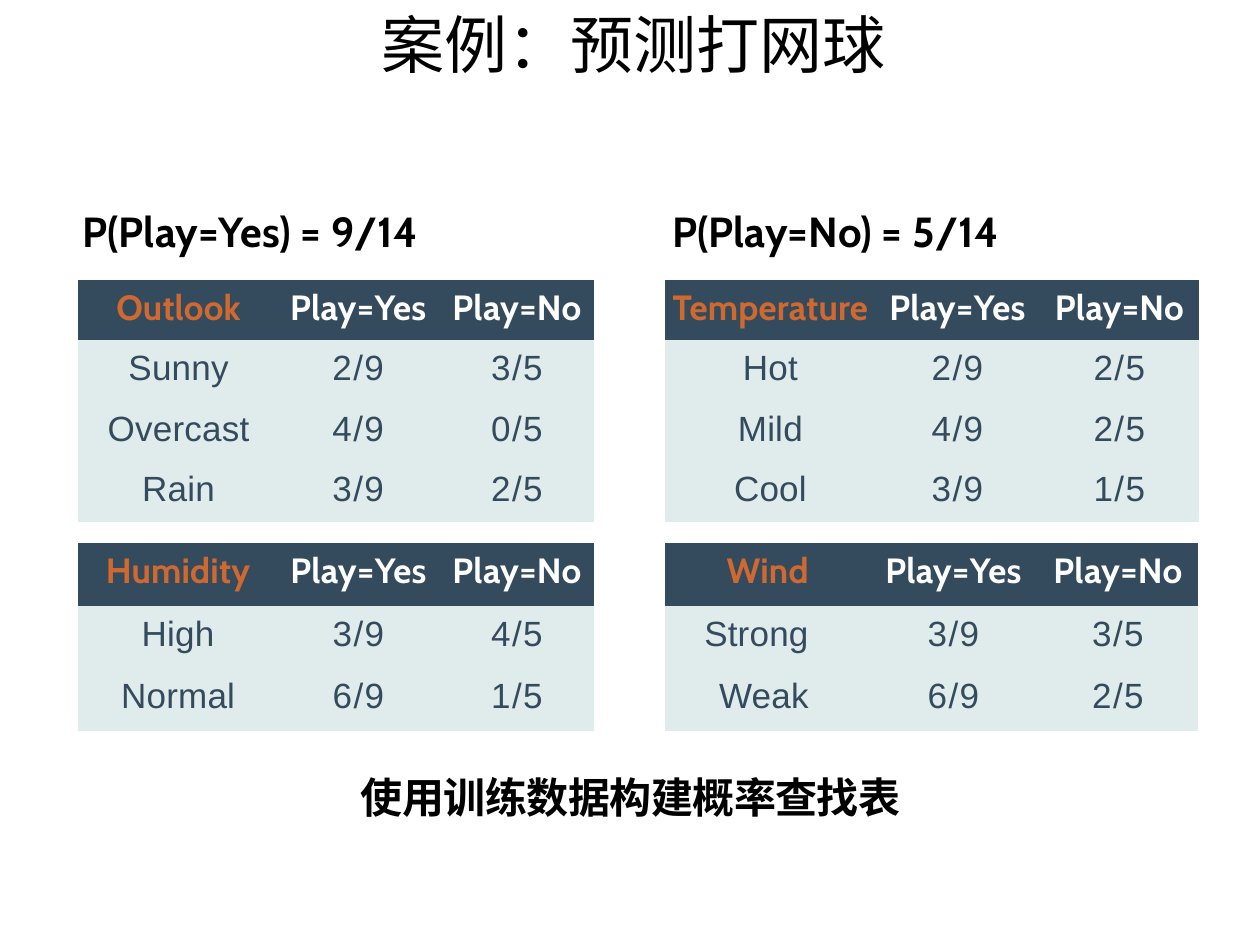
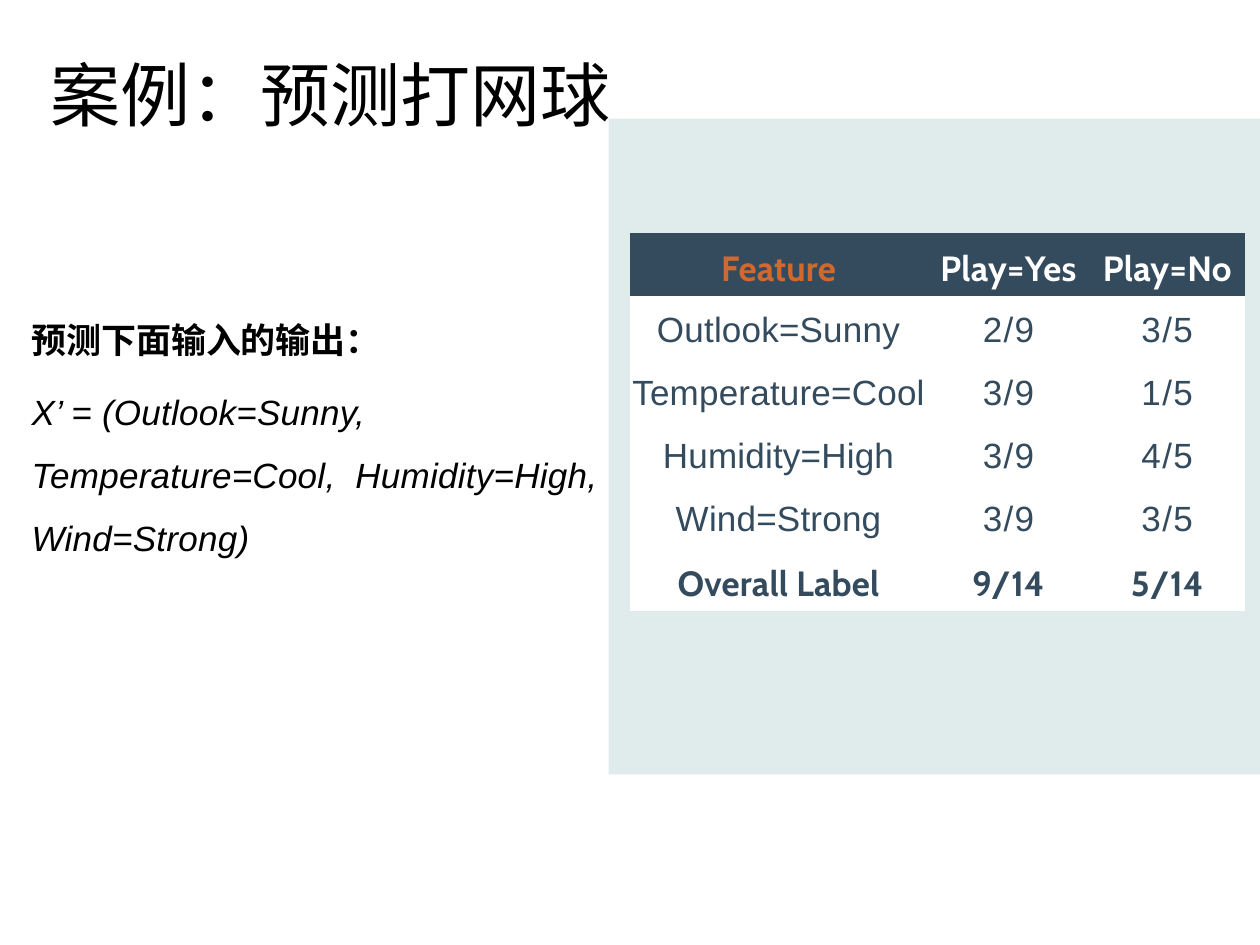
import dataclasses

import pptx
import pptx.dml.color
import pptx.enum.lang
import pptx.enum.shapes
import pptx.enum.text
import pptx.oxml.ns
import pptx.util
from lxml import etree

Cm = pptx.util.Cm
Pt = pptx.util.Pt
ALIGN = pptx.enum.text.PP_ALIGN
ANCHOR = pptx.enum.text.MSO_ANCHOR
PLAIN = "{2D5ABB26-0587-4C30-8999-92F81FD0307C}"  # table style without grid


@dataclasses.dataclass(frozen=True)
class Theme:
    black: str = "000000"
    white: str = "FFFFFF"
    navy: str = "344B5E"
    mint: str = "E0EBEB"
    rust: str = "D0692F"
    head: str = "Cabin"
    body: str = "Arial"
    title: str = "Calibri"
    big: int = 40
    large: int = 36
    mid: int = 24
    small: int = 20


def color(code):
    return pptx.dml.color.RGBColor.from_string(code)


def write(para, text, *, font, size, ink, bold=False, slant=False,
          space=0, align=ALIGN.LEFT, lead=None, before=0):
    """Add one formatted run to a paragraph."""
    para.alignment = align
    para.space_before = Pt(before)
    if lead:
        para.line_spacing = lead
    run = para.add_run()
    run.text = text
    face = run.font
    face.name, face.size, face.bold, face.italic = font, Pt(size), bold, slant
    face.color.rgb = color(ink)
    if not text.isascii():
        face.language_id = pptx.enum.lang.MSO_LANGUAGE_ID.SIMPLIFIED_CHINESE
    run.font._element.set("spc", str(round(space * 100)))


class Deck:
    def __init__(self, theme):
        self.theme = theme
        self.file = pptx.Presentation()
        self.file.slide_width, self.file.slide_height = Cm(25.4), Cm(19.05)
        self.slide = None

    def page(self):
        self.slide = self.file.slides.add_slide(self.file.slide_layouts[6])

    def text(self, box, lines, top=0.03, left=0.03, anchor=ANCHOR.TOP):
        """Place a text box; lines holds pairs of text and format."""
        frame = self.slide.shapes.add_textbox(*map(Cm, box)).text_frame
        frame.word_wrap = True
        frame.vertical_anchor = anchor
        frame.margin_left, frame.margin_top = Cm(left), Cm(top)
        frame.margin_right = frame.margin_bottom = 0
        for i, (text, look) in enumerate(lines):
            para = frame.add_paragraph() if i else frame.paragraphs[0]
            write(para, text, **look)
        return frame

    def title(self, box, size, align, top=0):
        look = dict(font=self.theme.title, size=size, ink=self.theme.black,
                    align=align)
        self.text(box, [("案例：预测打网球", look)], top, anchor=ANCHOR.MIDDLE)

    def strong(self, size, **more):
        """Format of a bold black line."""
        return dict(font=self.theme.head, size=size, ink=self.theme.black,
                    bold=True, **more)

    def tab(self, para, stop):
        """Set one left tab stop."""
        tag = pptx.oxml.ns.qn
        stops = etree.SubElement(para._p.get_or_add_pPr(), tag("a:tabLst"))
        etree.SubElement(stops, tag("a:tab"), pos=str(Cm(stop)), algn="l")

    def panel(self, box, fill):
        shape = self.slide.shapes.add_shape(
            pptx.enum.shapes.MSO_SHAPE.RECTANGLE, *map(Cm, box))
        shape.shadow.inherit = False
        shape.fill.solid()
        shape.fill.fore_color.rgb = color(fill)
        shape.line.fill.background()

    def table(self, left, top, high, wide, rows, fill, pads=(0, 0, 0),
              tops=(0.13, 0.18), right=None, total=False):
        """Place a table with equal rows; right sets column 1 flush right."""
        frame = self.slide.shapes.add_table(
            len(rows), len(wide), Cm(left), Cm(top), Cm(sum(wide)), Cm(high))
        grid = frame.table
        grid.first_row = grid.horz_banding = False
        next(grid._tbl.iter("{*}tableStyleId")).text = PLAIN
        for col, width in zip(grid.columns, wide):
            col.width = Cm(width)
        for r, row in enumerate(rows):
            grid.rows[r].height = Cm(high / len(rows))
            bold = r == 0 or (total and r == len(rows) - 1)
            for c, text in enumerate(row):
                cell = grid.cell(r, c)
                flush = c == 0 and right is not None
                cell.margin_left = Cm(pads[c])
                cell.margin_right = Cm(right if flush else 0)
                cell.margin_top, cell.margin_bottom = Cm(tops[r > 0]), 0
                cell.fill.solid()
                cell.fill.fore_color.rgb = color(
                    fill if r else self.theme.navy)
                ink = self.theme.navy
                if r == 0:
                    ink = self.theme.white if c else self.theme.rust
                space = 0.1 if c == 0 else 0.2 if bold else 0.8
                write(cell.text_frame.paragraphs[0], text,
                      font=self.theme.head if bold else self.theme.body,
                      size=self.theme.small, ink=ink, bold=bold, space=space,
                      align=ALIGN.RIGHT if flush else ALIGN.CENTER)


def split(name, *rows):
    """Table rows: a header, then 'label yes no' strings."""
    return [[name, "Play=Yes", "Play=No"]] + [r.rsplit(" ", 2) for r in rows]


def lookup(deck):
    """Slide 1: the four probability tables."""
    theme = deck.theme
    deck.page()
    frame = deck.text((1.63, 4.11, 20.27, 1.07), [
        ("P(Play=Yes) = 9/14\tP(Play=No) = 5/14",
         deck.strong(theme.mid, space=0.1))])
    deck.tab(frame.paragraphs[0], 11.89)

    # Tables in two columns and two rows
    west, east = 1.57, 13.41
    upper, lower = (5.64, 4.88), (10.95, 3.78)
    deck.table(west, *upper, (3.78, 3.51, 3.12), split(
        "Outlook", "Sunny 2/9 3/5", "Overcast 4/9 0/5", "Rain 3/9 2/5"),
        theme.mint, pads=(0.28, 0.23, 0))
    deck.table(east, *upper, (4.24, 3.3, 3.23), split(
        "Temperature", "Hot 2/9 2/5", "Mild 4/9 2/5", "Cool 3/9 1/5"),
        theme.mint)
    deck.table(west, *lower, (3.84, 3.45, 3.12), split(
        "Humidity", "High 3/9 4/5", "Normal 6/9 1/5"),
        theme.mint, pads=(0.2, 0.18, 0))
    deck.table(east, *lower, (3.73, 3.78, 3.23), split(
        "Wind", "Strong 3/9 3/5", "Weak 6/9 2/5"),
        theme.mint, pads=(0, 0.38, 0), right=0.84)

    # Caption and title
    deck.text((4.47, 15.52, 16.46, 1.07), [
        ("使用训练数据构建概率查找表",
         deck.strong(theme.mid, space=-0.3, align=ALIGN.CENTER))])
    deck.title((1.32, 0, 22.86, 1.73), theme.large, ALIGN.CENTER)


def predict(deck):
    """Slide 2: the input and its matching probabilities."""
    theme = deck.theme
    deck.page()
    deck.panel((12.27, 2.39, 13.13, 13.22), theme.mint)
    deck.table(12.7, 4.7, 7.62, (5.99, 3.28, 3.12), split(
        "Feature", "Outlook=Sunny 2/9 3/5", "Temperature=Cool 3/9 1/5",
        "Humidity=High 3/9 4/5", "Wind=Strong 3/9 3/5",
        "Overall Label 9/14 5/14"),
        theme.white, tops=(0.3, 0.3), total=True)
    deck.title((0.99, 0.74, 11.66, 2.01), theme.big, ALIGN.LEFT, top=0.3)

    # Question on the left
    pace = dict(lead=1.5, before=5.2)
    deck.text((0.61, 5.82, 11.66, 5.33), [
        ("预测下面输入的输出：",
         deck.strong(theme.small, space=-0.1, **pace)),
        ("X’ = (Outlook=Sunny, Temperature=Cool,  "
         "Humidity=High, Wind=Strong)",
         dict(font=theme.body, size=theme.small, ink=theme.black,
              slant=True, space=0.15, **pace))], top=0.18)


def main():
    deck = Deck(Theme())
    lookup(deck)
    predict(deck)
    deck.file.save("out.pptx")


if __name__ == "__main__":
    main()
